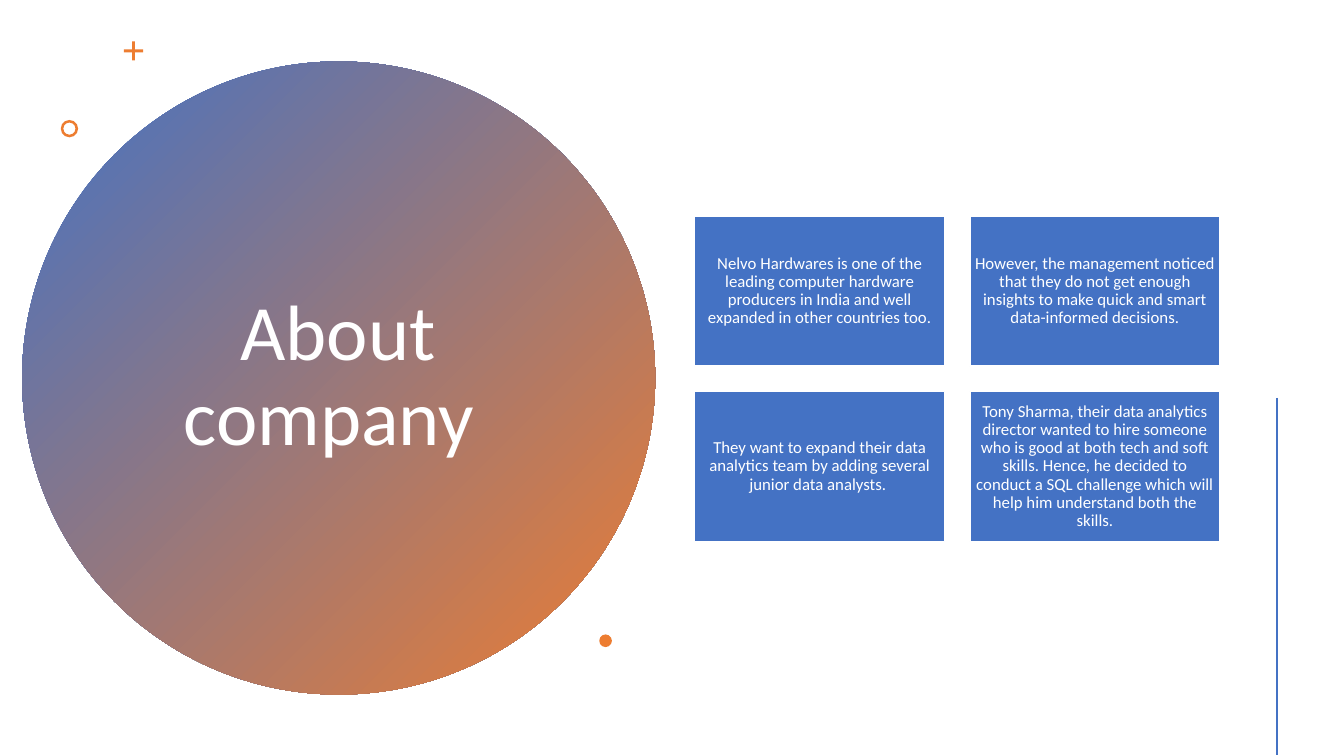
from pptx import Presentation
from pptx.dml.color import RGBColor
from pptx.enum.shapes import MSO_CONNECTOR as Link, MSO_SHAPE as Kind
from pptx.enum.text import MSO_ANCHOR as Anchor, PP_ALIGN as Align
from pptx.oxml.ns import qn
from pptx.util import Pt
from lxml.etree import SubElement

BLUE, ORANGE, WHITE = "4472C4", "ED7D31", "FFFFFF"
TITLE = "About company "
CARDS = [
    "Nelvo Hardwares is one of the leading computer hardware producers in India and well "
    "expanded in other countries too.",
    "However, the management noticed that they do not get enough insights to make quick "
    "and smart data-informed decisions.",
    "They want to expand their data analytics team by adding several junior data analysts. ",
    "Tony Sharma, their data analytics director wanted to hire someone who is good at both "
    "tech and soft skills. Hence, he decided to conduct a SQL challenge which will help him "
    "understand both the skills.",
]


def color(code):
    """Turn a hex string into a colour."""
    return RGBColor.from_string(code)


def paint(shape, fill=None, line=None):
    """Set a plain fill and outline, with no shadow."""
    shape.shadow.inherit = False
    if fill:
        shape.fill.solid()
        shape.fill.fore_color.rgb = color(fill)
    if line:
        shape.line.color.rgb = color(line)
        shape.line.width = Pt(1)
    else:
        shape.line.fill.background()
    return shape


def draw(slide, kind, box, **style):
    """Add a preset shape in a box given in points."""
    return paint(slide.shapes.add_shape(kind, *map(Pt, box)), **style)


def write(shape, text, size=12, ink=WHITE, font="Calibri", pad=3.6):
    """Put centred, wrapped text in a shape."""
    frame = shape.text_frame
    frame.word_wrap = True
    frame.vertical_anchor = Anchor.MIDDLE
    frame.margin_left = frame.margin_right = Pt(pad)
    frame.margin_top = frame.margin_bottom = Pt(3.6)
    para = frame.paragraphs[0]
    para.alignment = Align.CENTER
    para.line_spacing = 0.9
    run = para.add_run()
    run.text = text
    run.font.size = Pt(size)
    run.font.name = font
    run.font.color.rgb = color(ink)


def plus(slide, left, top, size, thick):
    """Draw a plus sign as one outline."""
    low = (size - thick) / 2
    high = low + thick
    spots = [(low, 0), (high, 0), (high, low), (size, low), (size, high), (high, high),
             (high, size), (low, size), (low, high), (0, high), (0, low), (low, low)]
    spots = [(Pt(left + x), Pt(top + y)) for x, y in spots]
    form = slide.shapes.build_freeform(*spots[0])
    form.add_line_segments(spots[1:])
    paint(form.convert_to_shape(), fill=ORANGE)


def badge(slide, left, top, size):
    """Draw the title disc and the small marks around it."""
    disc = draw(slide, Kind.OVAL, (left, top, size, size))
    disc.fill.gradient()
    disc.fill.gradient_angle = 315
    for stop, code in zip(disc.fill.gradient_stops, (BLUE, ORANGE)):
        stop.color.rgb = color(code)
    box = left + 82, top + 57.6, 287.3, 336.2
    write(slide.shapes.add_textbox(*map(Pt, box)), TITLE, size=56, pad=7.2)
    plus(slide, left + 72.7, top - 14.4, 13.7, 2)
    ring = draw(slide, Kind.DONUT, (left + 27.6, top + 41.8, 12.4, 12.4), fill=ORANGE)
    ring.adjustments[0] = 0.15
    draw(slide, Kind.OVAL, (left + 412.3, top + 409.3, 9, 9), fill=ORANGE)


def grid(slide, left, top, wide, high, gap=18):
    """Lay the cards out in two columns."""
    for spot, text in enumerate(CARDS):
        row, col = divmod(spot, 2)
        box = left + col * (wide + gap), top + row * (high + gap), wide, high
        write(draw(slide, Kind.RECTANGLE, box, fill=BLUE, line=WHITE), text)


def rule(slide, left, top, end):
    """Draw the upright line at the right edge."""
    bar = slide.shapes.add_connector(Link.STRAIGHT, Pt(left), Pt(top), Pt(left), Pt(end))
    bar.line.color.rgb = color(BLUE)
    bar.line.width = Pt(2)
    SubElement(bar._element.spPr, qn("a:effectLst"))


def main():
    """Build and save the slide."""
    deck = Presentation()
    deck.slide_width, deck.slide_height = Pt(960), Pt(540)
    slide = deck.slides.add_slide(deck.slide_layouts[6])
    badge(slide, 15.8, 43.9, 452.2)
    grid(slide, 496.2, 154.4, 178.6, 107.2)
    rule(slide, 912.2, 284.2, 539.5)
    deck.save("out.pptx")


if __name__ == "__main__":
    main()
